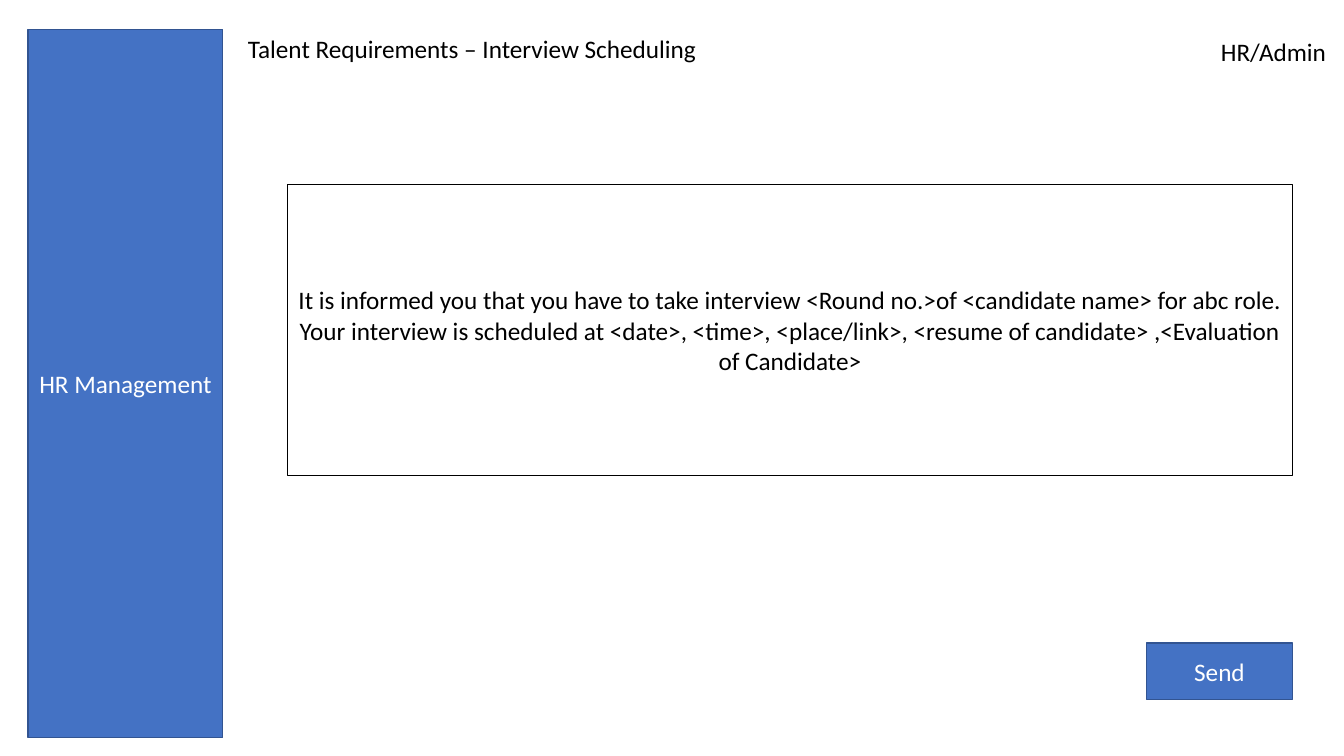
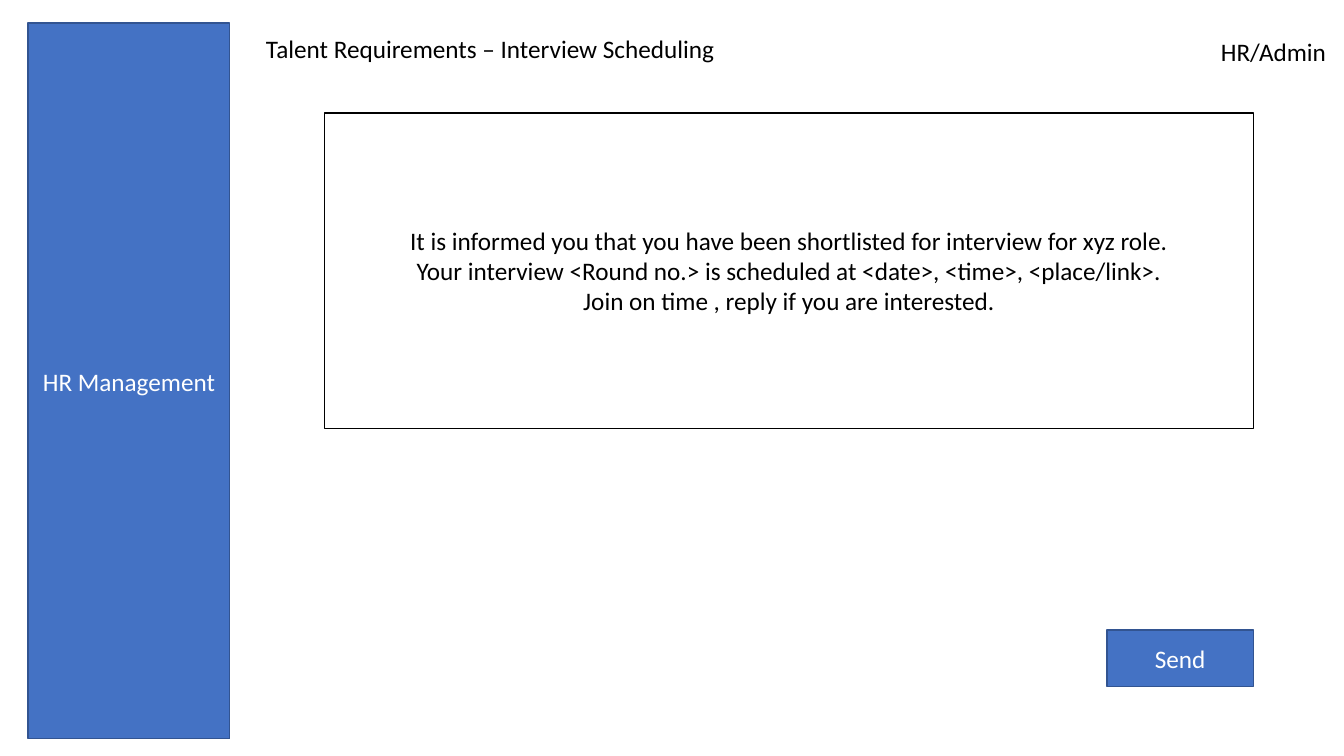
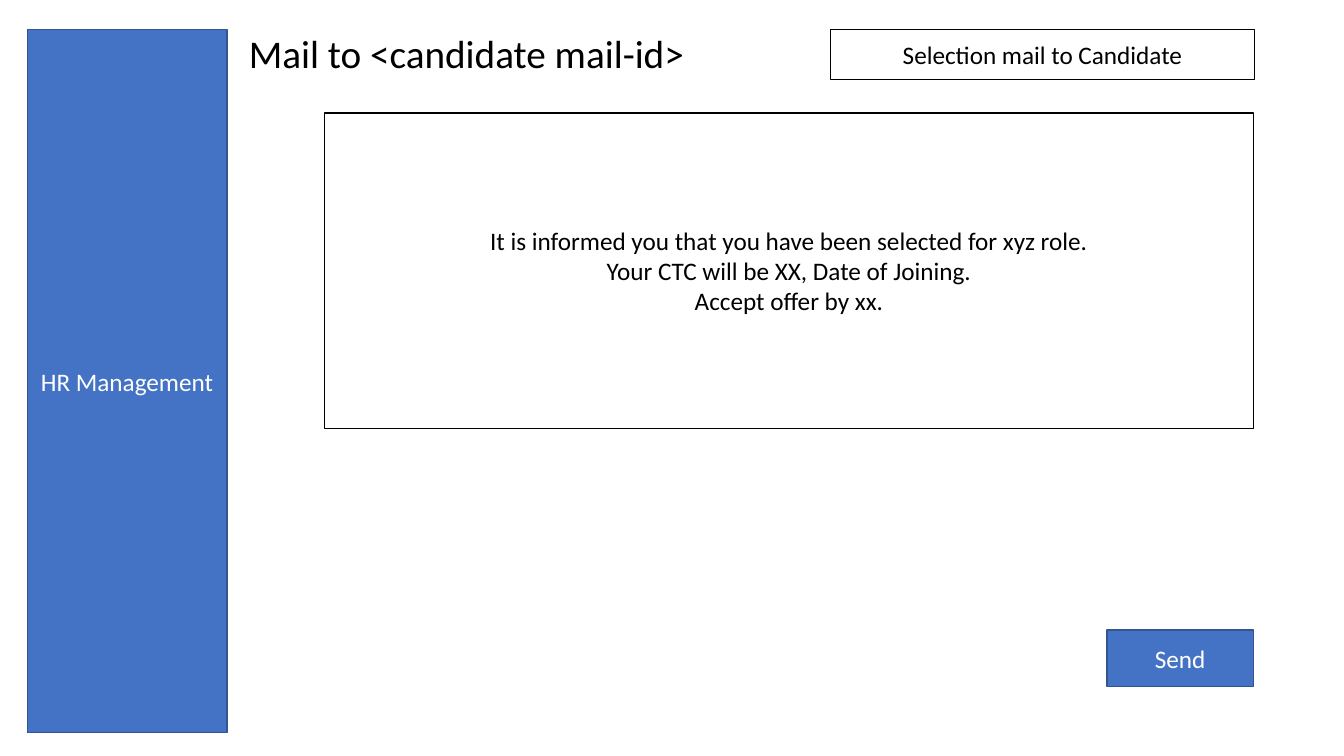
from pptx import Presentation
from pptx.dml.color import RGBColor
from pptx.enum.shapes import MSO_SHAPE as Shape
from pptx.enum.text import MSO_ANCHOR as Anchor, PP_ALIGN as Align
from pptx.util import Inches, Pt

# Shared style
FONT = "Calibri"
BLUE = RGBColor(0x44, 0x72, 0xC4)
NAVY = RGBColor(0x32, 0x54, 0x91)
BLACK = RGBColor(0, 0, 0)
WHITE = RGBColor(255, 255, 255)

TITLE = "Talent Requirements – Interview Scheduling"
MAIL_BOX = (3.22, 1.12, 9.21, 3.13)
SEND_W, SEND_H = 1.45, 0.56


def write(frame, lines, color, align, size=18):
    """Fill a text frame, one paragraph per line."""
    frame.word_wrap = True
    frame.text = "\n".join(lines)
    for par in frame.paragraphs:
        par.alignment = align
        par.font.name = FONT
        par.font.size = Pt(size)
        par.font.color.rgb = color


def add_rect(slide, box, lines, fill, line, color):
    rect = slide.shapes.add_shape(Shape.RECTANGLE, *map(Inches, box))
    rect.shadow.inherit = False
    rect.fill.solid()
    rect.fill.fore_color.rgb = fill
    rect.line.color.rgb = line
    rect.line.width = Pt(1)
    rect.text_frame.vertical_anchor = Anchor.MIDDLE
    write(rect.text_frame, lines, color, Align.CENTER)


def add_panel(slide, box, *lines):
    """White box with a black outline."""
    add_rect(slide, box, lines, WHITE, BLACK, BLACK)


def add_block(slide, box, label):
    """Blue sidebar or button."""
    add_rect(slide, box, [label], BLUE, NAVY, WHITE)


def add_label(slide, box, text, size=18):
    label = slide.shapes.add_textbox(*map(Inches, box))
    write(label.text_frame, [text], BLACK, Align.LEFT, size)
    return label


def add_mail(prs, side, box, send_top, *lines):
    """Slide with a sidebar, a message and a Send button below its right edge."""
    slide = prs.slides.add_slide(prs.slide_layouts[6])
    left, _, width, _ = box
    add_panel(slide, box, *lines)
    add_block(slide, (left + width - SEND_W, send_top, SEND_W, SEND_H), "Send")
    add_block(slide, side, "HR Management")
    return slide


def add_header(slide, left):
    add_label(slide, (12.01, 0.31, 1.28, 0.4), "HR/Admin")
    add_label(slide, (left, 0.28, 4.93, 0.4), TITLE)


def main():
    prs = Presentation()
    prs.slide_width = Inches(13.33)
    prs.slide_height = Inches(7.5)

    # Notice to the interviewer
    slide = add_mail(
        prs, (0.28, 0.29, 1.93, 7.03), (2.85, 1.83, 9.97, 2.89), 6.38,
        "It is informed you that you have to take interview "
        "<Round no.>of <candidate name> for abc role.",
        "Your interview is scheduled at <date>, <time>, <place/link>, "
        "<resume of candidate> ,<Evaluation of Candidate>")
    add_header(slide, 2.36)

    # Invitation to the candidate
    slide = add_mail(
        prs, (0.28, 0.23, 2, 7.1), MAIL_BOX, 6.25,
        "It is informed you that you have been shortlisted "
        "for interview for xyz role.",
        "Your interview <Round no.> is scheduled at <date>, <time>, "
        "<place/link>.",
        "Join on time , reply if you are interested.")
    add_header(slide, 2.54)

    # Offer to the candidate
    slide = add_mail(
        prs, (0.27, 0.29, 1.98, 6.98), MAIL_BOX, 6.25,
        "It is informed you that you have been selected\u00a0for xyz role.",
        "Your CTC will be XX, Date of Joining.",
        "Accept offer by xx.")
    add_panel(slide, (8.24, 0.29, 4.2, 0.5), "Selection mail to Candidate")
    head = add_label(slide, (2.37, 0.29, 5.8, 0.53),
                     "Mail to <candidate mail-id>", 28)
    head.text_frame.paragraphs[0].line_spacing = 0.9

    prs.save("out.pptx")


main()
